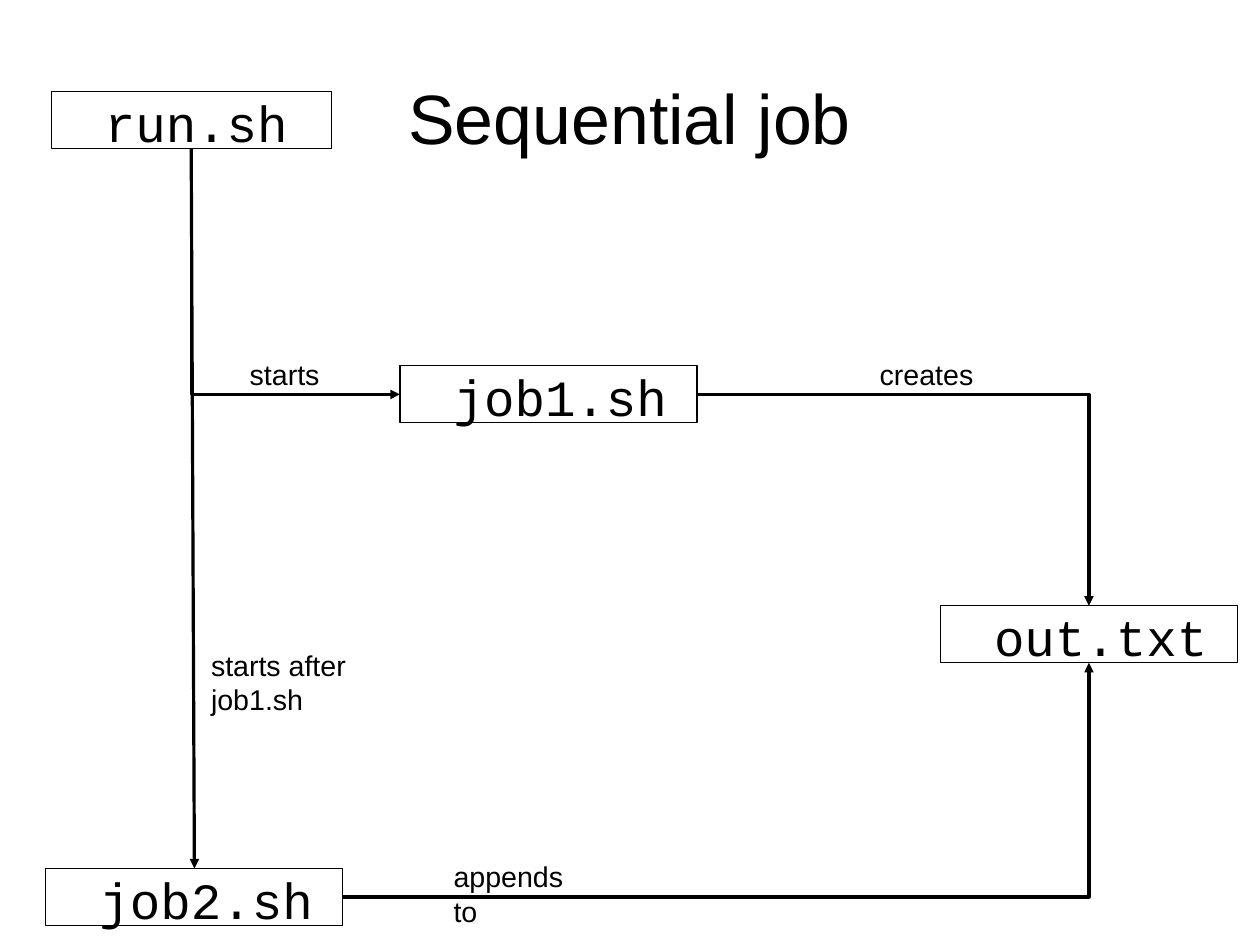
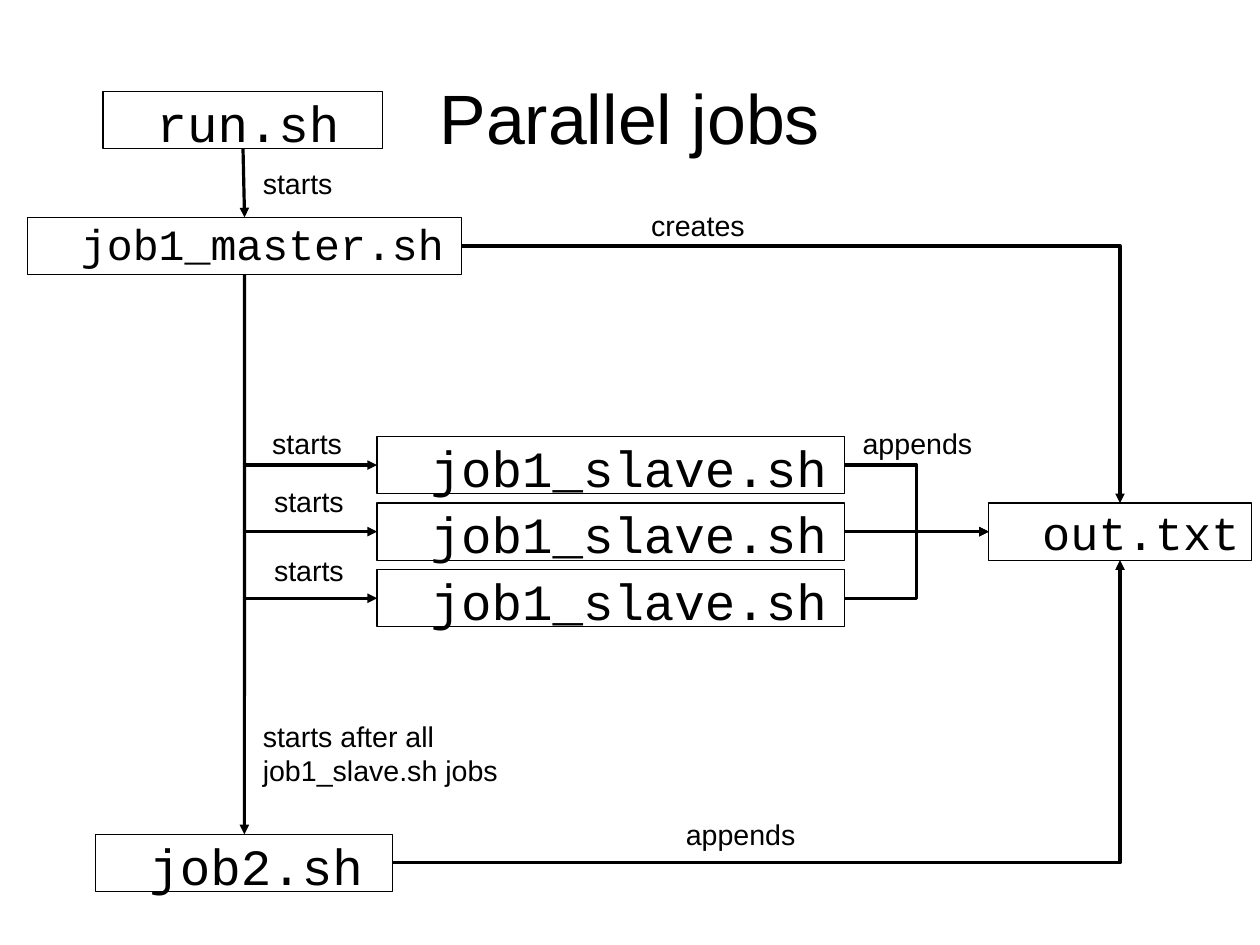
"""Build two slides that chart a sequential job and a set of parallel jobs."""
from lxml.etree import SubElement
from pptx import Presentation
from pptx.dml.color import RGBColor
from pptx.enum.shapes import MSO_CONNECTOR, MSO_SHAPE
from pptx.enum.text import MSO_ANCHOR, PP_ALIGN
from pptx.oxml.ns import qn
from pptx.util import Cm, Pt

INK, PAPER = "000000", "FFFFFF"
HIGH = 1.27
TOP, LEFT, BOTTOM, RIGHT = range(4)
LINE, TURN, STEP = "line", "bentConnector2", "bentConnector3"
HEAD, TAIL = "headEnd", "tailEnd"


def hue(code):
    return RGBColor.from_string(code)


def put(shape, text, size=18, font="Arial", align=PP_ALIGN.LEFT,
        anchor=MSO_ANCHOR.TOP, inset=None, space=0, wrap=True):
    frame = shape.text_frame
    frame.word_wrap = wrap
    frame.vertical_anchor = anchor
    if inset is not None:
        frame.margin_left = Cm(inset)
        frame.margin_top = frame.margin_right = frame.margin_bottom = 0
    para = frame.paragraphs[0]
    para.alignment = align
    para.space_before = Pt(space)
    run = para.add_run()
    run.text = text
    run.font.size = Pt(size)
    run.font.name = font
    run.font.color.rgb = hue(INK)


slaves = ["slave1", "slave2", "slave3"]
pages = [
    {
        "title": "Sequential job",
        "boxes": {
            "run": ("run.sh", 1.14, 2.03, 6.22, 32),
            "job1": ("job1.sh", 8.89, 8.13, 6.6, 32),
            "job2": ("job2.sh", 1.02, 19.3, 6.6, 32),
            "out": ("out.txt", 20.9, 13.46, 6.6, 32),
        },
        "links": [
            (LINE, "run", BOTTOM, "job2", TOP, TAIL),
            (TURN, "job1", LEFT, "run", BOTTOM, HEAD),
            (TURN, "job1", RIGHT, "out", TOP, TAIL),
            (TURN, "job2", RIGHT, "out", BOTTOM, TAIL),
        ],
        "notes": [
            ("starts", 5.3, 7.8, 2.06, 1),
            ("starts after job1.sh", 4.44, 14.27, 5.72, 1),
            ("creates", 19.3, 7.8, 2.59, 1),
            ("appends to", 9.83, 18.97, 3.63, 1),
        ],
    },
    {
        "title": "Parallel jobs",
        "boxes": {
            **{name: ("job1_slave.sh", 8.38, 9.7 + 1.48 * i, 10.39, 32)
               for i, name in enumerate(slaves)},
            "run": ("run.sh", 2.29, 2.03, 6.22, 32),
            "master": ("job1_master.sh", 0.61, 4.83, 9.65, 27.2),
            "job2": ("job2.sh", 2.13, 18.54, 6.6, 32),
            "out": ("out.txt", 21.97, 11.18, 5.84, 29.6),
        },
        "links": [
            (LINE, "run", BOTTOM, "master", TOP, TAIL),
            (LINE, "master", BOTTOM, "job2", TOP, TAIL),
            *[(TURN, name, LEFT, "master", BOTTOM, HEAD) for name in slaves],
            (TURN, "master", RIGHT, "out", TOP, TAIL),
            (STEP, "slave1", RIGHT, "out", LEFT, TAIL),
            (LINE, "slave2", RIGHT, "out", LEFT, TAIL),
            (STEP, "slave3", RIGHT, "out", LEFT, TAIL),
            (TURN, "job2", RIGHT, "out", BOTTOM, TAIL),
        ],
        "notes": [
            ("starts", 5.59, 3.56, 2.06, 1),
            ("starts", 5.8, 9.35, 2.06, 1),
            ("starts", 5.84, 10.64, 2.06, 1),
            ("starts", 5.84, 12.17, 2.06, 1),
            ("starts after all job1_slave.sh jobs", 5.59, 15.85, 6.86, 2),
            ("creates", 14.22, 4.5, 2.59, 1),
            ("appends", 18.92, 9.35, 2.95, 1),
            ("appends", 14.99, 18.03, 2.95, 1),
        ],
    },
]

deck = Presentation()
deck.slide_width, deck.slide_height = Cm(28), Cm(21)
layout = deck.slide_layouts[5]
head = layout.placeholders[0]
head.left, head.top, head.width, head.height = Cm(1.4), Cm(0.84), Cm(25.2), Cm(3.5)

for page in pages:
    slide = deck.slides.add_slide(layout)
    put(slide.shapes.title, page["title"], size=44, align=PP_ALIGN.CENTER,
        anchor=MSO_ANCHOR.MIDDLE, inset=0)

    boxes = {}
    for name, (text, x, y, wide, size) in page["boxes"].items():
        box = slide.shapes.add_shape(
            MSO_SHAPE.RECTANGLE, Cm(x), Cm(y), Cm(wide), Cm(HIGH))
        box.shadow.inherit = False
        box.fill.solid()
        box.fill.fore_color.rgb = hue(PAPER)
        box.line.color.rgb = hue(INK)
        box.line.width = Pt(0)
        put(box, text, size=size, font="Courier New", inset=1.19, space=6)
        boxes[name] = box

    for form, start, side, stop, edge, tip in page["links"]:
        kind = MSO_CONNECTOR.STRAIGHT if form == LINE else MSO_CONNECTOR.ELBOW
        link = slide.shapes.add_connector(kind, 0, 0, 0, 0)
        link.begin_connect(boxes[start], side)
        link.end_connect(boxes[stop], edge)
        link.line.color.rgb = hue(INK)
        link.line.width = Pt(0)
        props = link._element.spPr
        props.find(qn("a:prstGeom")).set("prst", form)
        SubElement(props.find(qn("a:ln")), qn("a:" + tip), type="triangle")
        SubElement(props, qn("a:effectLst"))

    for text, x, y, wide, rows in page["notes"]:
        note = slide.shapes.add_textbox(Cm(x), Cm(y), Cm(wide), Cm(0.97 * rows))
        put(note, text, wrap=rows > 1)

deck.save("out.pptx")
